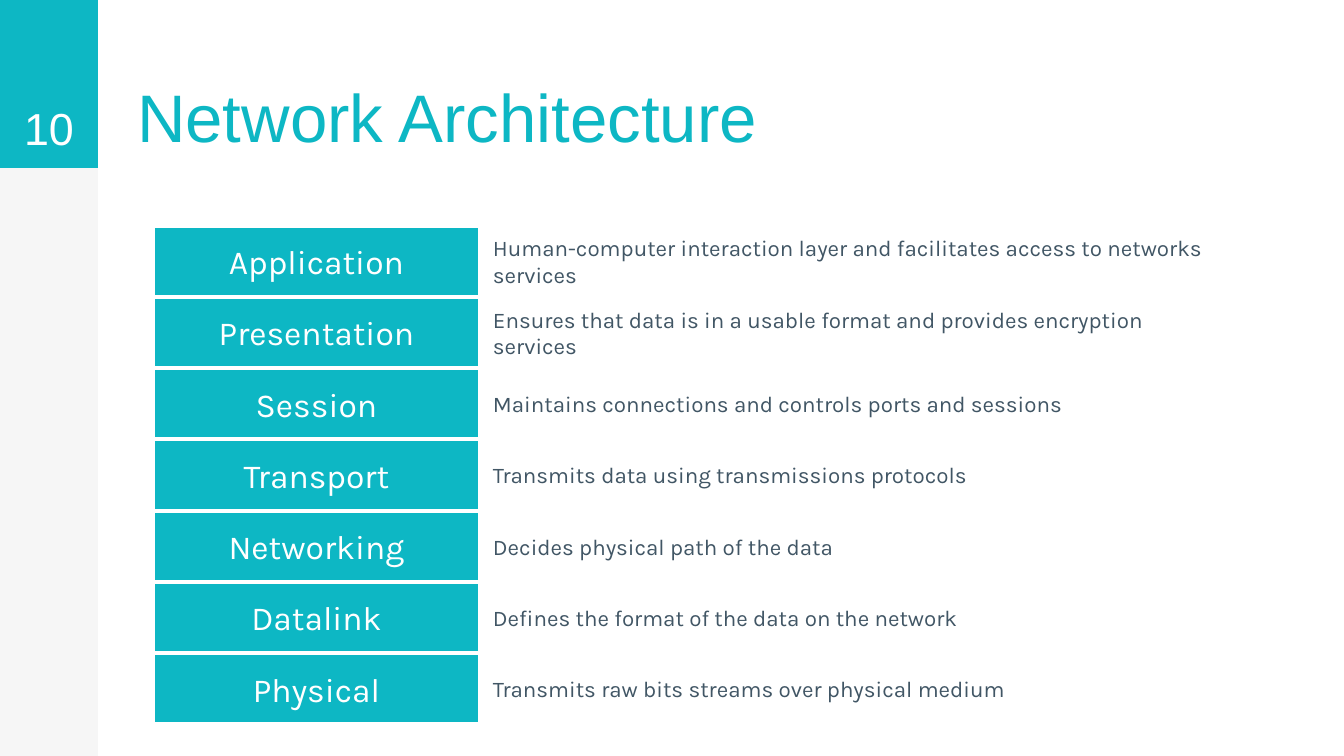
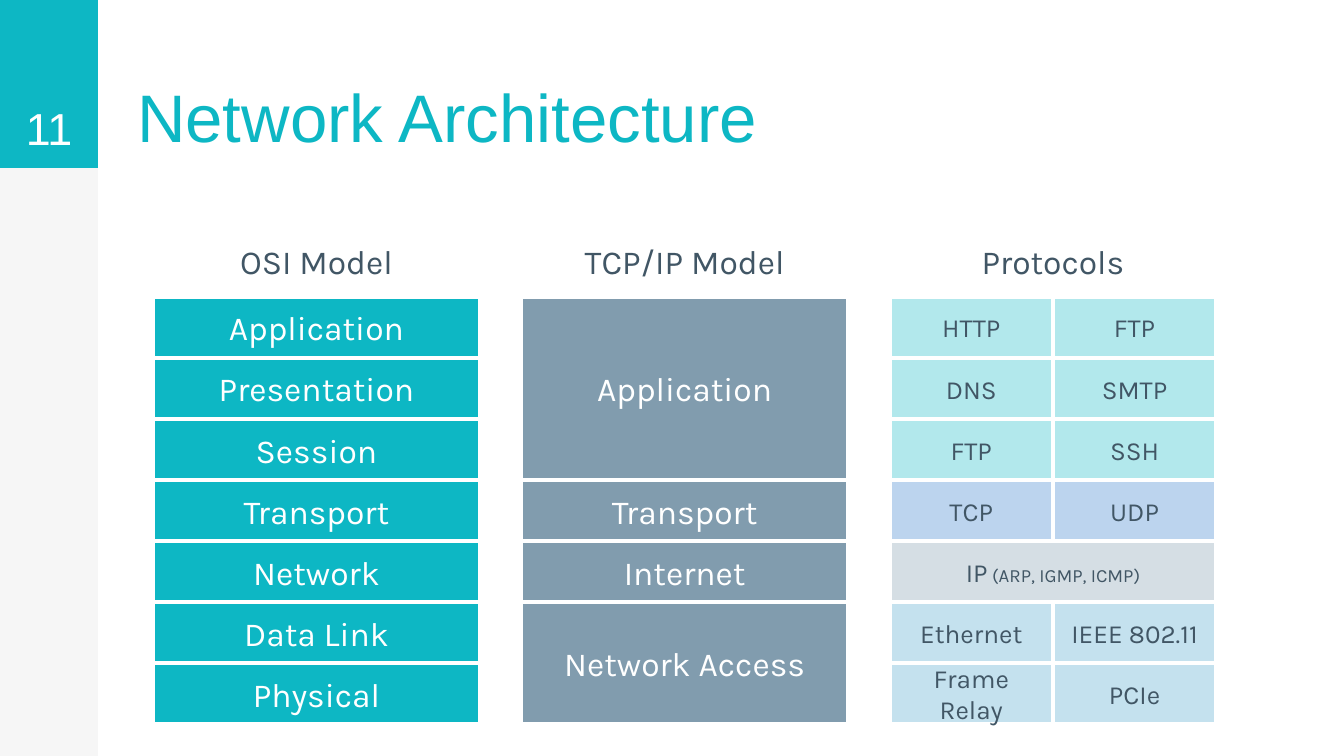
"""Builds two slides on the layers of network architecture."""
import pptx
import pptx.util
import pptx.dml.color
import pptx.enum.shapes
import pptx.enum.text

Inches, Pt = pptx.util.Inches, pptx.util.Pt
ALIGN = pptx.enum.text.PP_ALIGN
ANCHOR = pptx.enum.text.MSO_ANCHOR
RECT = pptx.enum.shapes.MSO_SHAPE.RECTANGLE

WIDE, HIGH = 10, 5.625
COLORS = {
    "teal": "0DB7C4", "pale": "F6F6F6", "white": "FFFFFF", "ink": "415665",
    "slate": "819CAE", "mint": "B2E8EC", "blue": "BCD4EE", "grey": "D5DEE4",
    "sky": "C4E1EE",
}
HEAD, BODY = "Arial", "Karla"
SIDE, BAND = 0.73, 1.25
LEFT, TOP, COL, STEP = 1.14, 1.68, 2.43, 2.74
ROW = 0.53
CELL = (7 * ROW - ROW) / 7
GRID = TOP + ROW

LAYERS = [
    ("Application", "Human-computer interaction layer and facilitates access to networks services"),
    ("Presentation", "Ensures that data is in a usable format and provides encryption services"),
    ("Session", "Maintains connections and controls ports and sessions"),
    ("Transport", "Transmits data using transmissions protocols"),
    ("Networking", "Decides physical path of the data"),
    ("Datalink", "Defines the format of the data on the network"),
    ("Physical", "Transmits raw bits streams over physical medium"),
]
OSI = [(name, 1) for name in ("Application", "Presentation", "Session", "Transport",
                              "Network", "Data Link", "Physical")]
TCP = [("Application", 3), ("Transport", 1), ("Internet", 1), ("Network Access", 2)]
PROTOCOLS = [
    ("mint", ["HTTP", "FTP"]),
    ("mint", ["DNS", "SMTP"]),
    ("mint", ["FTP", "SSH"]),
    ("blue", ["TCP", "UDP"]),
    ("grey", ["IP"]),
    ("sky", ["Ethernet", "IEEE 802.11"]),
    ("sky", ["Frame Relay", "PCIe"]),
]
NOTES = {"IP": " (ARP, IGMP, ICMP)"}


def color(name):
    """Return the palette colour of that name."""
    return pptx.dml.color.RGBColor.from_string(COLORS[name])


def style(run, size, ink, face=BODY):
    """Set size, colour and face of a run."""
    run.font.size, run.font.name = Pt(size), face
    run.font.color.rgb = color(ink)


def write(shape, text, size, ink, face=BODY, align=ALIGN.CENTER, anchor=ANCHOR.MIDDLE):
    """Put one formatted paragraph into a shape."""
    frame = shape.text_frame
    frame.text = text
    frame.word_wrap = True
    frame.auto_size = pptx.enum.text.MSO_AUTO_SIZE.NONE
    frame.vertical_anchor = anchor
    para = frame.paragraphs[0]
    para.alignment = align
    style(para.runs[0], size, ink, face)
    return para


def block(shapes, spot, fill=None, line="white"):
    """Add a flat rectangle at left, top, width, height."""
    shape = shapes.add_shape(RECT, *map(Inches, spot))
    shape.shadow.inherit = False
    if fill:
        shape.fill.solid()
        shape.fill.fore_color.rgb = color(fill)
    else:
        shape.fill.background()
    if line:
        shape.line.color.rgb = color(line)
        shape.line.width = Pt(2)
    else:
        shape.line.fill.background()
    return shape


def label(shapes, spot, text, size, ink, **kind):
    """Add a text box."""
    write(shapes.add_textbox(*map(Inches, spot)), text, size, ink, **kind)


def bands(layout, slide):
    """Place the side bands and the title area on the layout."""
    tree = layout.shapes.element
    for place, (tall, fill) in enumerate([(HIGH, "pale"), (BAND, "teal")], 2):
        shape = block(slide.shapes, (0, 0, SIDE, tall), fill, None)
        tree.insert(place, shape.element)
    title = layout.placeholders[0]
    title.left, title.top, title.width, title.height = map(Inches, (0.92, 0.01, 8.34, BAND))


def page(deck, number, title):
    """Add a slide with its title and number."""
    layout = deck.slide_layouts[5]
    slide = deck.slides.add_slide(layout)
    if len(deck.slides) == 1:
        bands(layout, slide)
    shape = slide.shapes.title
    write(shape, title, 36, "teal", HEAD, ALIGN.LEFT, ANCHOR.BOTTOM)
    frame = shape.text_frame
    frame.margin_top = frame.margin_bottom = Inches(0.1)
    label(slide.shapes, (0, 0, SIDE, BAND), number, 24, "white", face=HEAD, anchor=ANCHOR.BOTTOM)
    frame = slide.shapes[-1].text_frame
    frame.margin_top = frame.margin_bottom = Inches(0.1)
    return slide


def layers(slide):
    """Draw each layer beside what it does."""
    for row, (name, about) in enumerate(LAYERS):
        top = TOP + row * ROW
        write(block(slide.shapes, (LEFT, top, COL, ROW), "teal"), name, 18, "white")
        write(block(slide.shapes, (LEFT + COL, top, 5.7, ROW)), about, 12, "ink",
              align=ALIGN.LEFT)


def column(slide, index, head):
    """Start a headed, grouped column and return its shapes and left edge."""
    shapes = slide.shapes.add_group_shape().shapes
    left = LEFT + index * STEP
    label(shapes, (left, TOP, COL, ROW), head, 18, "ink")
    return shapes, left


def stack(slide, index, head, fill, items):
    """Draw a column of boxes that span one or more rows."""
    shapes, left = column(slide, index, head)
    top = GRID
    for name, span in items:
        write(block(shapes, (left, top, COL, span * CELL), fill), name, 18, "white")
        top += span * CELL


def mosaic(slide, index, head, rows):
    """Draw a column whose rows are shared equally by their names."""
    shapes, left = column(slide, index, head)
    for row, (fill, names) in enumerate(rows):
        wide = COL / len(names)
        for place, name in enumerate(names):
            spot = (left + place * wide, GRID + row * CELL, wide, CELL)
            para = write(block(shapes, spot, fill), name, 14, "ink")
            if name in NOTES:
                run = para.add_run()
                run.text = NOTES[name]
                style(run, 10, "ink")


def main():
    """Build and save the slides."""
    deck = pptx.Presentation()
    deck.slide_width, deck.slide_height = Inches(WIDE), Inches(HIGH)
    layers(page(deck, "10", "Network Architecture"))
    slide = page(deck, "11", "Network Architecture")
    stack(slide, 0, "OSI Model", "teal", OSI)
    stack(slide, 1, "TCP/IP Model", "slate", TCP)
    mosaic(slide, 2, "Protocols", PROTOCOLS)
    deck.save("out.pptx")


if __name__ == "__main__":
    main()
